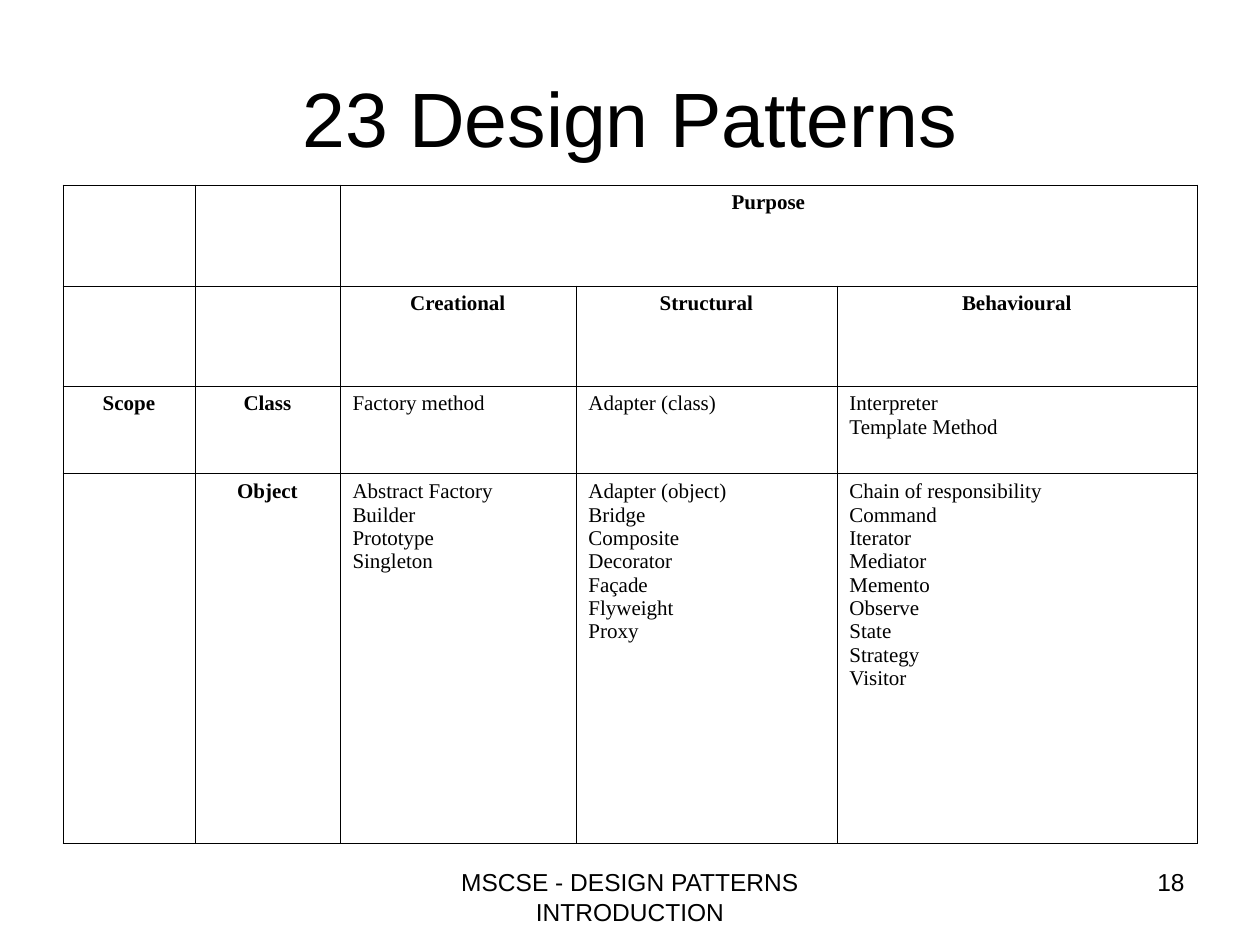
from dataclasses import dataclass

from lxml import etree
from pptx import Presentation
from pptx.dml.color import RGBColor
from pptx.enum.text import MSO_ANCHOR, PP_ALIGN
from pptx.oxml.ns import qn
from pptx.util import Emu, Pt

PX = 914400 // 126
CENTER, RIGHT, LEFT, JUSTIFY = PP_ALIGN.CENTER, PP_ALIGN.RIGHT, PP_ALIGN.LEFT, PP_ALIGN.JUSTIFY
TOP, MIDDLE = MSO_ANCHOR.TOP, MSO_ANCHOR.MIDDLE


@dataclass(frozen=True)
class Theme:
    ink: str = "000000"
    paper: str = "FFFFFF"
    sans: str = "Arial"
    serif: str = "Times New Roman"
    title: int = 44
    footer: int = 14
    body: int = 12
    border: float = 0.45
    hanging: int = 48


THEME = Theme()

COLUMNS = [132, 145, 236, 261, 360]
ROWS = [101, 100, 88, 370]
HEADINGS = {
    (0, 2): "Purpose",
    (1, 2): "Creational",
    (1, 3): "Structural",
    (1, 4): "Behavioural",
    (2, 0): "Scope",
    (2, 1): "Class",
    (3, 1): "Object",
}
PATTERNS = {
    (2, 2): ["Factory method"],
    (2, 3): ["Adapter (class)"],
    (2, 4): ["Interpreter", "Template Method"],
    (3, 2): ["Abstract Factory", "Builder", "Prototype", "Singleton"],
    (3, 3): ["Adapter (object)", "Bridge", "Composite", "Decorator", "Façade",
             "Flyweight", "Proxy"],
    (3, 4): ["Chain of responsibility", "Command", "Iterator", "Mediator",
             "Memento", "Observe", "State", "Strategy", "Visitor"],
}


def px(length):
    return Emu(length * PX)


def style_font(para, name, size, bold=False):
    font = para.font
    font.name, font.size, font.bold = name, Pt(size), bold
    font.color.rgb = RGBColor.from_string(THEME.ink)


def add_text(page, box, text, size, align, anchor=TOP):
    frame = page.shapes.add_textbox(*map(px, box)).text_frame
    frame.word_wrap = True
    frame.vertical_anchor = anchor
    para = frame.paragraphs[0]
    para.text = text
    para.alignment = align
    style_font(para, THEME.sans, size)


def add_borders(cell):
    properties = cell._tc.get_or_add_tcPr()
    for index, side in enumerate(("lnL", "lnR", "lnT", "lnB")):
        line = etree.Element(qn(f"a:{side}"), w=str(Pt(THEME.border)))
        fill = etree.SubElement(line, qn("a:solidFill"))
        etree.SubElement(fill, qn("a:srgbClr"), val=THEME.ink)
        properties.insert(index, line)


def fill_cell(cell, lines, align, bold):
    cell.text = "\n".join(lines)
    for para in cell.text_frame.paragraphs:
        properties = para._p.get_or_add_pPr()
        properties.set("marL", str(px(THEME.hanging)))
        properties.set("indent", str(-px(THEME.hanging)))
        para.alignment = align
        style_font(para, THEME.serif, THEME.body, bold)


def add_pattern_table(page, left, top):
    box = (left, top, sum(COLUMNS), sum(ROWS))
    table = page.shapes.add_table(len(ROWS), len(COLUMNS), *map(px, box)).table
    table.first_row = table.horz_banding = False
    for column, width in zip(table.columns, COLUMNS):
        column.width = px(width)
    for row, height in zip(table.rows, ROWS):
        row.height = px(height)
    for cell in table.iter_cells():
        cell.fill.background()
        add_borders(cell)
    table.cell(0, 2).merge(table.cell(0, 4))
    for place, heading in HEADINGS.items():
        fill_cell(table.cell(*place), [heading], CENTER, True)
    for place, names in PATTERNS.items():
        align = LEFT if place == (3, 4) else JUSTIFY
        fill_cell(table.cell(*place), names, align, False)


def add_footer(page, left, top, width, height):
    label_width, number_width = 400, 294
    label_left = left + (width - label_width) // 2
    number_left = left + width - number_width
    add_text(page, (label_left, top, label_width, height),
             "MSCSE - DESIGN PATTERNS INTRODUCTION", THEME.footer, CENTER)
    add_text(page, (number_left, top, number_width, height), "18", THEME.footer, RIGHT)


def main():
    deck = Presentation()
    deck.slide_width, deck.slide_height = px(1260), px(945)
    page = deck.slides.add_slide(deck.slide_layouts[6])
    page.background.fill.solid()
    page.background.fill.fore_color.rgb = RGBColor.from_string(THEME.paper)
    add_footer(page, 63, 861, 1134, 66)
    add_text(page, (63, 38, 1134, 158), "23 Design Patterns", THEME.title, CENTER, MIDDLE)
    add_pattern_table(page, 63, 185)
    deck.save("out.pptx")


if __name__ == "__main__":
    main()
